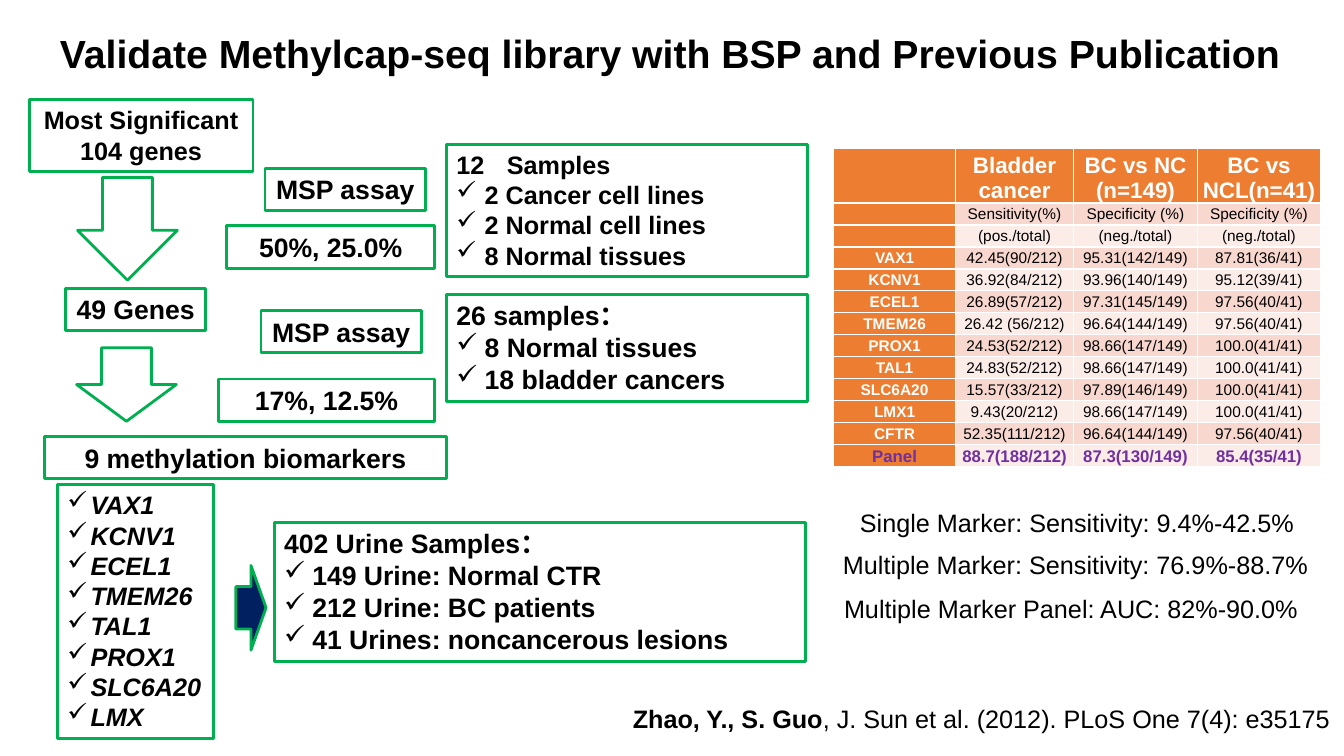
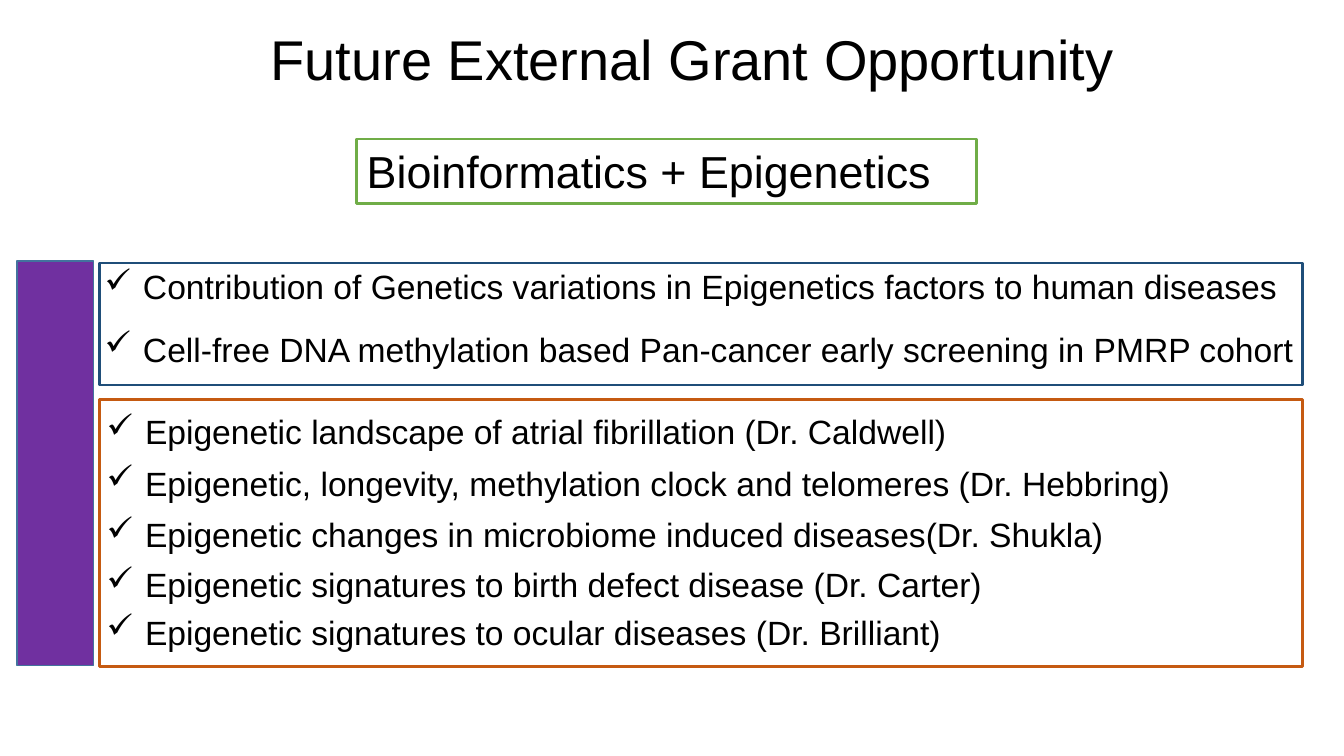
from dataclasses import dataclass
from typing import NamedTuple, Optional, Sequence

from lxml.etree import SubElement
from pptx import Presentation
from pptx.dml.color import RGBColor
from pptx.enum.shapes import MSO_SHAPE as Shape
from pptx.enum.text import MSO_ANCHOR as Anchor, PP_ALIGN as Align
from pptx.oxml.ns import qn
from pptx.util import Emu, Inches, Pt

COLS, ROWS = 80, 45
WIDTH, HEIGHT = Inches(13.33), Inches(7.5)
FONT = "Arial"
BLACK, WHITE = "000000", "FFFFFF"
GREEN, NAVY, PURPLE, ORANGE = "00B050", "002060", "7030A0", "ED7D31"
BANDS = ("F8D7CE", "FCECE8")


class Area(NamedTuple):
    col: float
    row: float
    cols: float
    rows: float


@dataclass
class Box:
    area: Area
    lines: Sequence[str]
    size: float = 19
    align: Align = Align.CENTER
    italic: bool = False
    wrap: bool = False
    indent: float = 0
    plain: int = 0
    number: Optional[int] = None


def across(cols: float) -> Emu:
    return Emu(round(WIDTH * cols / COLS))


def down(rows: float) -> Emu:
    return Emu(round(HEIGHT * rows / ROWS))


def place(area: Area) -> tuple:
    return across(area.col), down(area.row), across(area.cols), down(area.rows)


def rgb(code: str) -> RGBColor:
    return RGBColor.from_string(code)


def add_run(p, text: str, *, size: float = 18, bold: bool = False,
            italic: bool = False, color: str = BLACK):
    r = p.add_run()
    r.text = text
    r.font.name, r.font.size = FONT, Pt(size)
    r.font.bold, r.font.italic = bold, italic
    r.font.color.rgb = rgb(color)
    return r


def add_bullet(p, indent: float, number: Optional[int] = None) -> None:
    pPr = p._p.get_or_add_pPr()
    pPr.set("marL", str(across(indent)))
    pPr.set("indent", str(-across(indent)))
    if number is None:
        SubElement(pPr, qn("a:buChar")).set("char", "✓")
    else:
        bu = SubElement(pPr, qn("a:buAutoNum"))
        bu.set("type", "arabicPlain")
        bu.set("startAt", str(number))


def write(tf, lines: Sequence[str], *, align: Align = Align.LEFT,
          indent: float = 0, plain: int = 0, number: Optional[int] = None,
          wrap: bool = True, **look):
    tf.word_wrap = wrap
    tf.vertical_anchor = Anchor.TOP
    for i, line in enumerate(lines):
        p = tf.paragraphs[0] if i == 0 else tf.add_paragraph()
        p.alignment = align
        if i == 0 and number is not None:
            add_bullet(p, 3, number)
        elif indent and i >= plain:
            add_bullet(p, indent)
        add_run(p, line, **look)
    return p


def add_label(s, area: Area, lines: Sequence[str], **look):
    return write(s.shapes.add_textbox(*place(area)).text_frame, lines, **look)


def add_panel(s, area: Area, line: str, *, kind: Shape = Shape.RECTANGLE,
              fill: Optional[str] = None, weight: float = 2):
    sp = s.shapes.add_shape(kind, *place(area))
    sp.shadow.inherit = False
    if fill:
        sp.fill.solid()
        sp.fill.fore_color.rgb = rgb(fill)
    else:
        sp.fill.background()
    sp.line.color.rgb = rgb(line)
    sp.line.width = Pt(weight)
    return sp


def add_title(s, area: Area, text: str, **look) -> None:
    add_label(s, area, [text], align=Align.CENTER, **look)


def add_box(s, box: Box) -> None:
    sp = add_panel(s, box.area, GREEN)
    write(sp.text_frame, box.lines, size=box.size, bold=True, italic=box.italic,
          align=box.align, wrap=box.wrap, indent=box.indent, plain=box.plain,
          number=box.number)


FLOW = [
    Box(Area(2.64, 25.98, 23.94, 2.52), ["9 methylation biomarkers"]),
    Box(Area(1.74, 5.94, 13.32, 4.26), ["Most Significant", "104 genes"], 18),
    Box(Area(3.9, 17.16, 8.34, 2.52), ["49 Genes"]),
    Box(Area(15.78, 10.02, 9.54, 2.52), ["MSP assay"]),
    Box(Area(15.54, 18.48, 9.54, 2.52), ["MSP assay"]),
    Box(Area(13.5, 13.44, 12.36, 2.52), ["50%, 25.0%"]),
    Box(Area(13.02, 22.56, 12.84, 2.52), ["17%, 12.5%"]),
    Box(Area(26.58, 8.58, 21.48, 7.86),
        ["Samples", "2 Cancer cell lines", "2 Normal cell lines", "8 Normal tissues"],
        18, Align.LEFT, wrap=True, indent=1.68, number=12),
    Box(Area(26.58, 17.52, 21.48, 6.36),
        ["26 samples：", "8 Normal tissues", "18 bladder cancers"],
        align=Align.LEFT, wrap=True, indent=1.68, plain=1),
    Box(Area(3.42, 28.86, 9.3, 15.12),
        ["VAX1", "KCNV1", "ECEL1", "TMEM26", "TAL1", "PROX1", "SLC6A20", "LMX"],
        18, Align.LEFT, italic=True, indent=1.38),
    Box(Area(16.32, 31.08, 31.62, 8.28),
        ["402 Urine Samples：", "149 Urine: Normal CTR", "212 Urine: BC patients",
         "41 Urines: noncancerous lesions"],
        align=Align.LEFT, wrap=True, indent=1.68, plain=1),
]
ARROWS = [
    (Area(14.04, 33.66, 1.8, 5.04), Shape.RIGHT_ARROW, NAVY),
    (Area(4.62, 10.56, 5.94, 6.12), Shape.DOWN_ARROW, None),
    (Area(4.56, 20.7, 5.94, 4.38), Shape.DOWN_ARROW, None),
]
TABLE_COLS = (7.26, 7.02, 7.38, 7.32)
HEAD_ROWS, BODY_ROWS = 3.2, 1.31
RESULTS = [
    ("", "Bladder cancer", "BC vs NC (n=149)", "BC vs NCL(n=41)"),
    ("", "Sensitivity(%)", "Specificity (%)", "Specificity (%)"),
    ("", "(pos./total)", "(neg./total)", "(neg./total)"),
    ("VAX1", "42.45(90/212)", "95.31(142/149)", "87.81(36/41)"),
    ("KCNV1", "36.92(84/212)", "93.96(140/149)", "95.12(39/41)"),
    ("ECEL1", "26.89(57/212)", "97.31(145/149)", "97.56(40/41)"),
    ("TMEM26", "26.42 (56/212)", "96.64(144/149)", "97.56(40/41)"),
    ("PROX1", "24.53(52/212)", "98.66(147/149)", "100.0(41/41)"),
    ("TAL1", "24.83(52/212)", "98.66(147/149)", "100.0(41/41)"),
    ("SLC6A20", "15.57(33/212)", "97.89(146/149)", "100.0(41/41)"),
    ("LMX1", "9.43(20/212)", "98.66(147/149)", "100.0(41/41)"),
    ("CFTR", "52.35(111/212)", "96.64(144/149)", "97.56(40/41)"),
    ("Panel", "88.7(188/212)", "87.3(130/149)", "85.4(35/41)"),
]
FINDINGS = [
    (Area(50.46, 29.88, 27.3, 2.4), "Single Marker: Sensitivity: 9.4%-42.5%"),
    (Area(49.44, 32.4, 29.16, 2.4), "Multiple Marker: Sensitivity: 76.9%-88.7%"),
    (Area(49.5, 35.04, 28.5, 2.4), "Multiple Marker Panel: AUC: 82%-90.0%"),
]
TOPICS = [
    (5.64, 15.54, "Contribution of Genetics variations in Epigenetics factors to human diseases"),
    (5.64, 19.26, "Cell-free DNA methylation based Pan-cancer early screening in PMRP cohort"),
    (5.76, 24.18, "Epigenetic landscape of atrial fibrillation (Dr. Caldwell)"),
    (5.76, 27.24, "Epigenetic, longevity, methylation clock and telomeres (Dr. Hebbring)"),
    (5.76, 30.3, "Epigenetic changes in microbiome induced diseases(Dr. Shukla)"),
    (5.76, 33.3, "Epigenetic signatures to birth defect disease (Dr. Carter)"),
    (5.76, 36.12, "Epigenetic signatures to ocular diseases (Dr. Brilliant)"),
]


def fill_cell(cell, text: str, row: int, col: int) -> None:
    head, total, key = row == 0, row == len(RESULTS) - 1, col == 0
    cell.fill.solid()
    cell.fill.fore_color.rgb = rgb(ORANGE if head or key else BANDS[(row - 1) % 2])
    cell.margin_left = cell.margin_right = cell.margin_top = Inches(0.01)
    cell.margin_bottom = 0
    size = 16 if head else 12 if total else 11
    p = cell.text_frame.paragraphs[0]
    p.alignment = Align.CENTER
    if text:
        color = PURPLE if total else WHITE if head or key else BLACK
        add_run(p, text, size=size, bold=head or key or total, color=color)
    else:
        SubElement(p._p, qn("a:endParaRPr")).set("sz", str(size * 100))
    cell.vertical_anchor = Anchor.BOTTOM if head else Anchor.MIDDLE


def add_results(s) -> None:
    area = Area(49.62, 8.82, sum(TABLE_COLS),
                HEAD_ROWS + BODY_ROWS * (len(RESULTS) - 1))
    table = s.shapes.add_table(len(RESULTS), len(TABLE_COLS), *place(area)).table
    for column, cols in zip(table.columns, TABLE_COLS):
        column.width = across(cols)
    for i, values in enumerate(RESULTS):
        table.rows[i].height = down(BODY_ROWS if i else HEAD_ROWS)
        for j, text in enumerate(values):
            fill_cell(table.cell(i, j), text, i, j)


def build_validation(s) -> None:
    for box in FLOW:
        add_box(s, box)
    for area, kind, fill in ARROWS:
        add_panel(s, area, GREEN, kind=kind, fill=fill)
    add_title(s, Area(2.2, 1.44, 75.36, 3.42),
              "Validate Methylcap-seq library with BSP and Previous Publication",
              size=28, bold=True, wrap=False)
    add_results(s)
    for area, text in FINDINGS:
        add_label(s, area, [text], align=Align.CENTER, wrap=False)
    p = add_label(s, Area(37.08, 41.58, 42.9, 2.4), ["Zhao, Y., S. Guo"],
                  bold=True, wrap=False)
    add_run(p, ", J. Sun et al. (2012). PLoS One 7(4): e35175")


def build_grants(s) -> None:
    add_title(s, Area(4.86, 1.14, 72.66, 4.62),
              "Future External Grant Opportunity", size=40)
    theme = add_panel(s, Area(21.24, 8.28, 36.9, 3.84), "70AD47", fill=WHITE)
    write(theme.text_frame, ["Bioinformatics + Epigenetics"], size=32)
    for col, row, text in TOPICS:
        add_label(s, Area(col, row, 74, 3), [text], size=24, indent=2.28)
    add_panel(s, Area(1.02, 15.54, 4.56, 24.06), "43739E", fill=PURPLE, weight=1)
    add_panel(s, Area(5.94, 23.76, 71.58, 15.9), "C55A11")
    add_panel(s, Area(5.94, 15.66, 71.58, 7.26), "1F4E79")


def main() -> None:
    prs = Presentation()
    prs.slide_width, prs.slide_height = WIDTH, HEIGHT
    for build in (build_validation, build_grants):
        build(prs.slides.add_slide(prs.slide_layouts[6]))
    prs.save("out.pptx")


if __name__ == "__main__":
    main()
